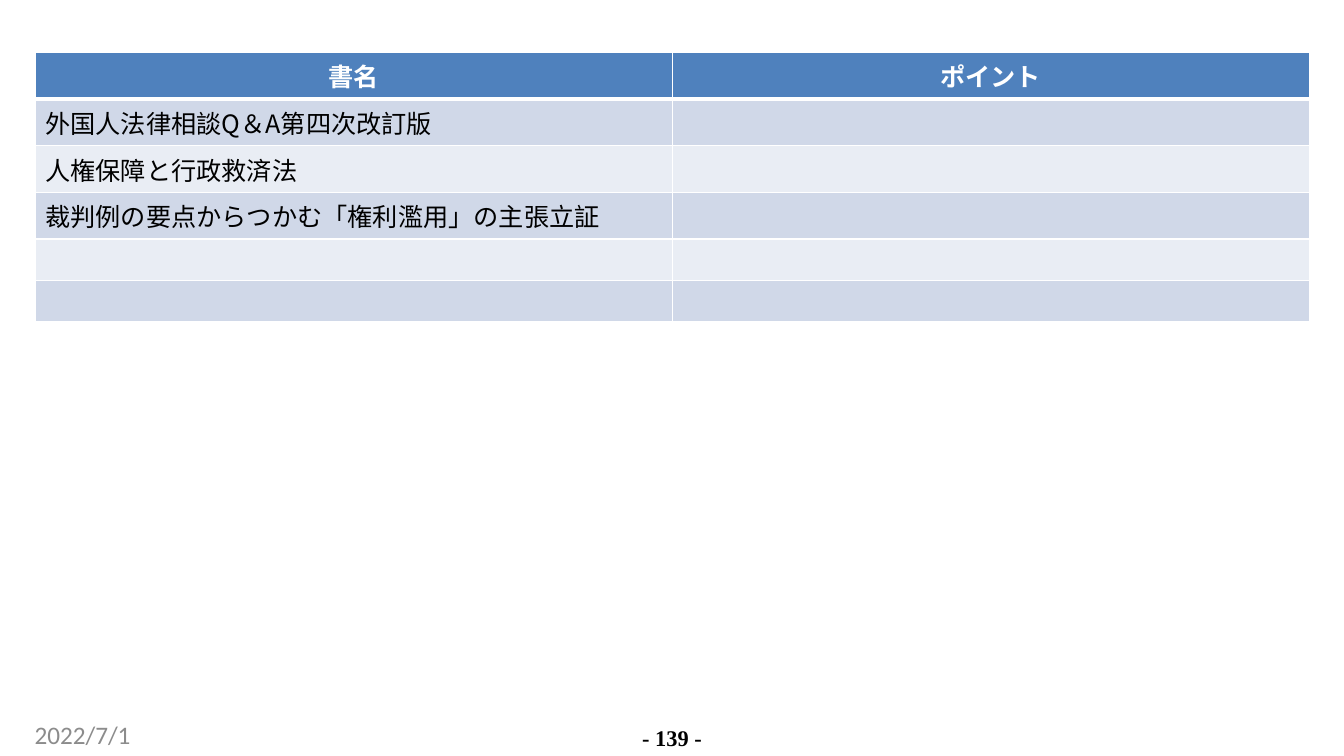
from lxml import etree
from pptx import Presentation
from pptx.dml.color import RGBColor
from pptx.enum.text import MSO_ANCHOR, PP_ALIGN
from pptx.oxml.ns import qn
from pptx.util import Pt

LEFT, MID = PP_ALIGN.LEFT, PP_ALIGN.CENTER
TOP = MSO_ANCHOR.TOP

# Content
HEADS = ["書名", "ポイント"]
BOOKS = [
    "外国人法律相談Q＆A第四次改訂版",
    "人権保障と行政救済法",
    "裁判例の要点からつかむ「権利濫用」の主張立証",
    "",
    "",
]
ROWS = [HEADS] + [[book, ""] for book in BOOKS]
# Text, box (left, top, width, height), align, size, font, colour, bold, line
NOTES = [
    ("2022/7/1", (24.7, 514, 221, 22), LEFT, 18, "Calibri", "8C8C8C", False, None),
    ("- 139 -", (449, 518, 62, 18), MID, 16, "Times New Roman", "000000", True, 18.4),
]

# Style
SANS, CJK = "Calibri", "Noto Sans CJK JP"
WHITE, BLACK, BLUE = "FFFFFF", "000000", "4F81BD"
BANDS = ["D0D8E8", "E9EDF4"]
X, Y, COL, ROW = 25.2, 37.6, 455, 29.4


def rgb(code):
    return RGBColor.from_string(code)


def write(para, text, size, face, color, bold):
    run = para.add_run()
    run.text = text
    font = run.font
    font.size, font.name, font.bold = Pt(size), face, bold
    font.color.rgb = rgb(color)
    east = etree.SubElement(font._element, qn("a:ea"))
    east.set("typeface", CJK)


def edge(cell, side, width):
    props = cell._tc.get_or_add_tcPr()
    line = etree.SubElement(props, qn("a:ln" + side), w=str(Pt(width)))
    fill = etree.SubElement(line, qn("a:solidFill"))
    etree.SubElement(fill, qn("a:srgbClr"), val=WHITE)


deck = Presentation()
deck.slide_width, deck.slide_height = Pt(960), Pt(540)
slide = deck.slides.add_slide(deck.slide_layouts[6])

# Book table
size = (COL * len(HEADS), ROW * len(ROWS))
table = slide.shapes.add_table(
    len(ROWS), len(HEADS), *map(Pt, (X, Y, *size))).table
for col in table.columns:
    col.width = Pt(COL)
for r, row in enumerate(ROWS):
    table.rows[r].height = Pt(ROW)
    head = r == 0
    for c, text in enumerate(row):
        cell = table.cell(r, c)
        for side in "LRTB":
            thick = (head and side == "B") or (r == 1 and side == "T")
            edge(cell, side, 3 if thick else 1)
        cell.fill.solid()
        cell.fill.fore_color.rgb = rgb(BLUE if head else BANDS[(r - 1) % 2])
        para = cell.text_frame.paragraphs[0]
        para.alignment = MID if head else LEFT
        if text:
            write(para, text, 18, SANS if head else CJK,
                  WHITE if head else BLACK, head)
        else:
            para.font.size = Pt(18)

# Date and page number
for text, box, align, points, face, color, bold, line in NOTES:
    frame = slide.shapes.add_textbox(*map(Pt, box)).text_frame
    frame.word_wrap = True
    frame.vertical_anchor = TOP
    frame.margin_left = frame.margin_right = 0
    frame.margin_top = frame.margin_bottom = 0
    para = frame.paragraphs[0]
    para.alignment = align
    if line:
        para.line_spacing = Pt(line)
    write(para, text, points, face, color, bold)

deck.save("out.pptx")
